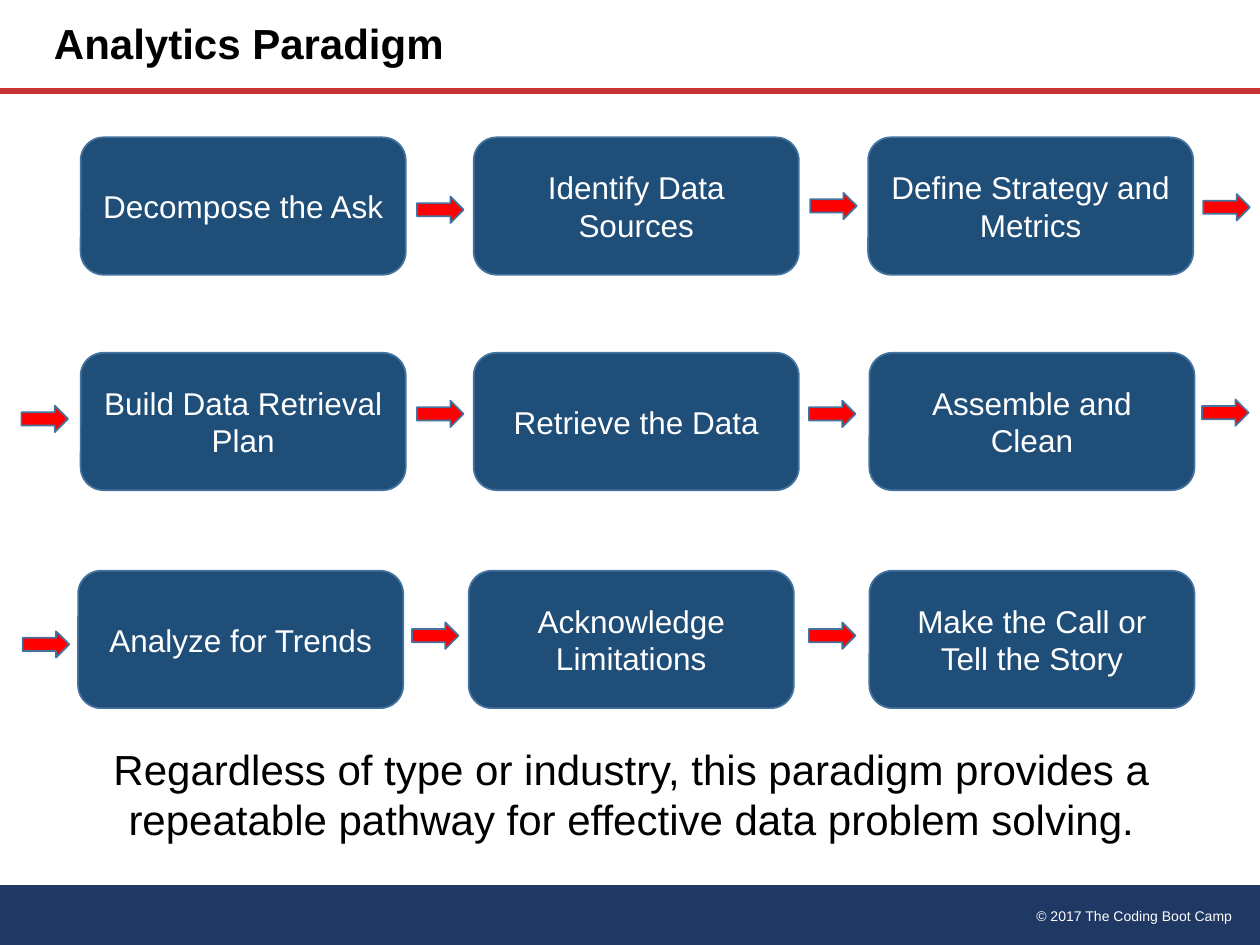
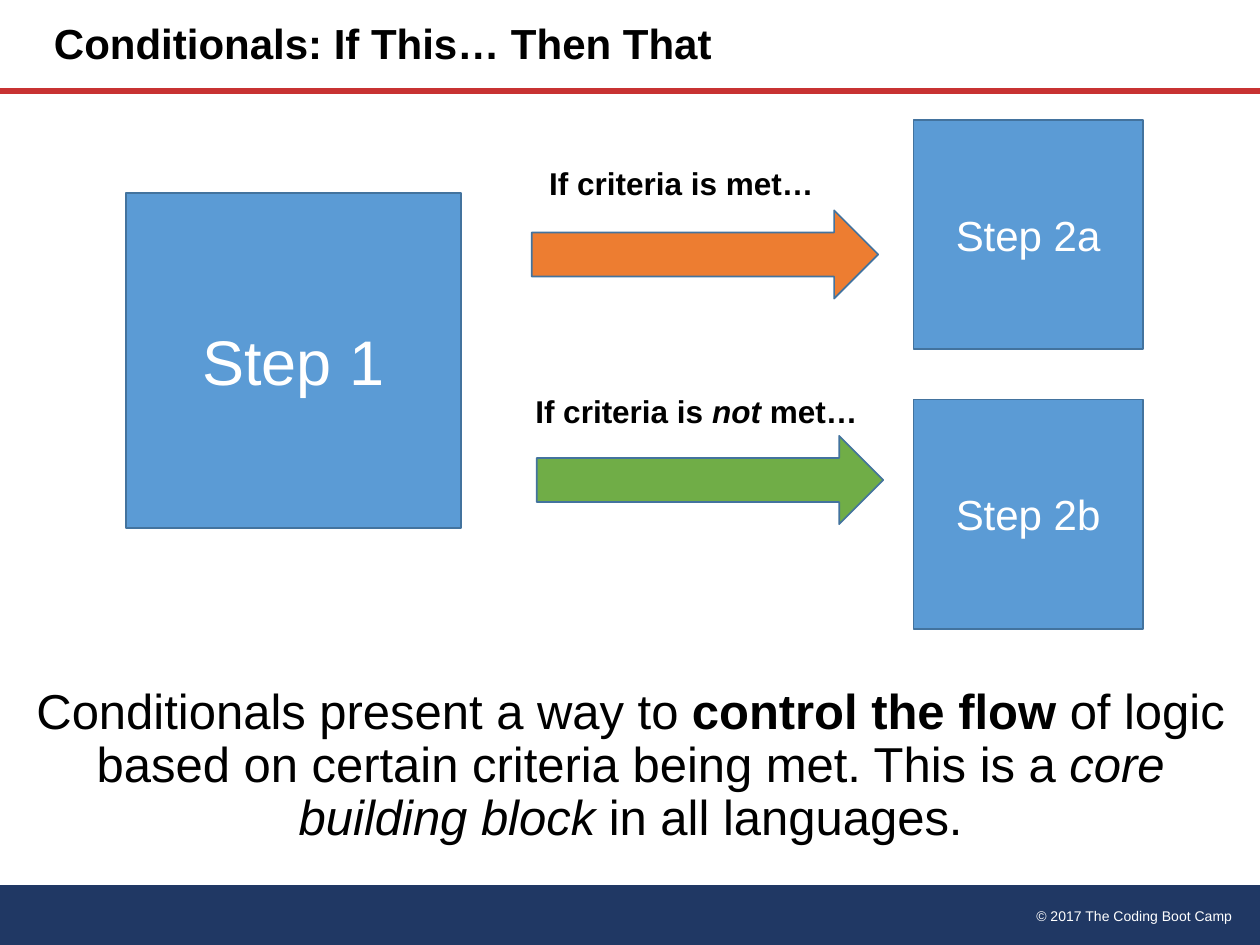
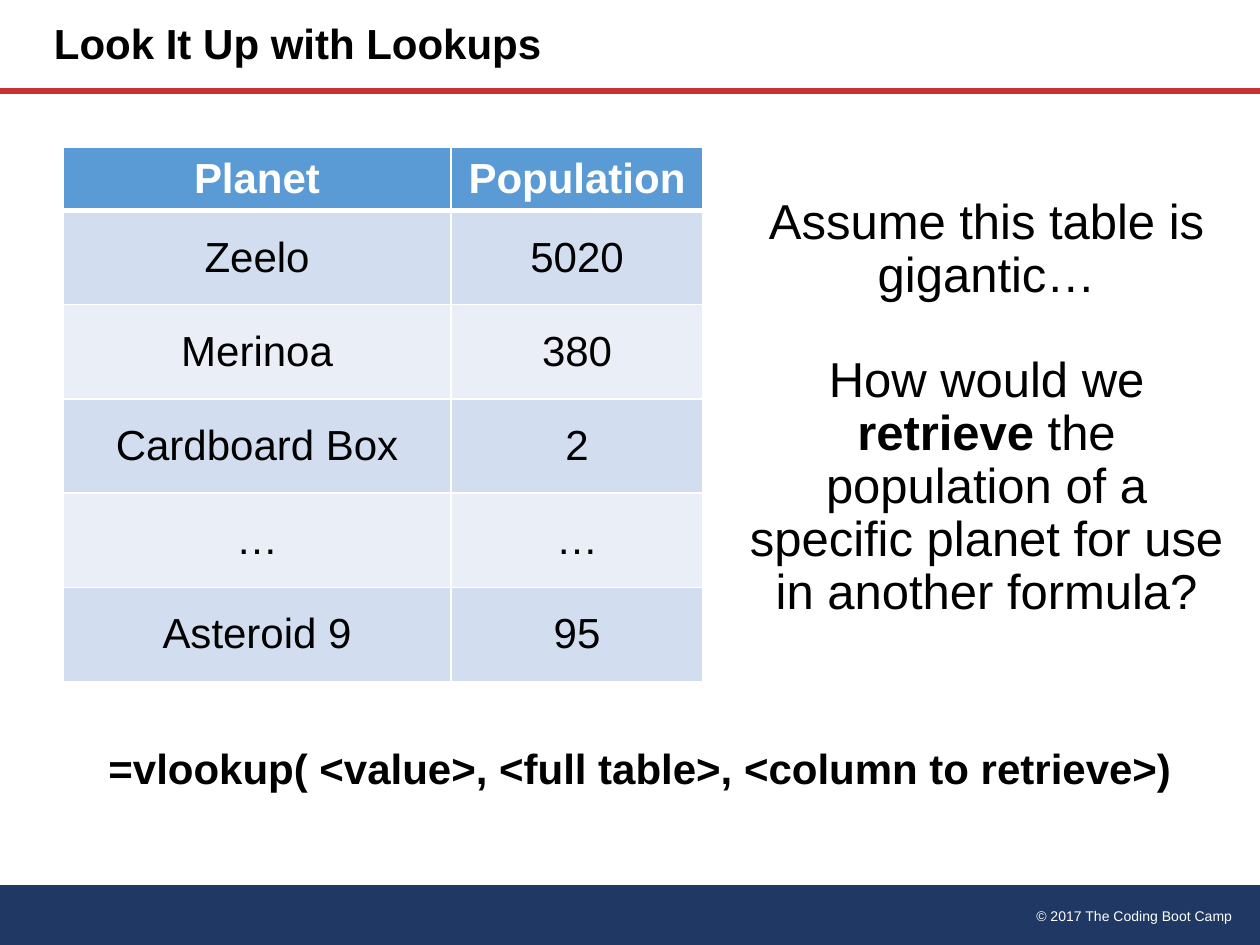
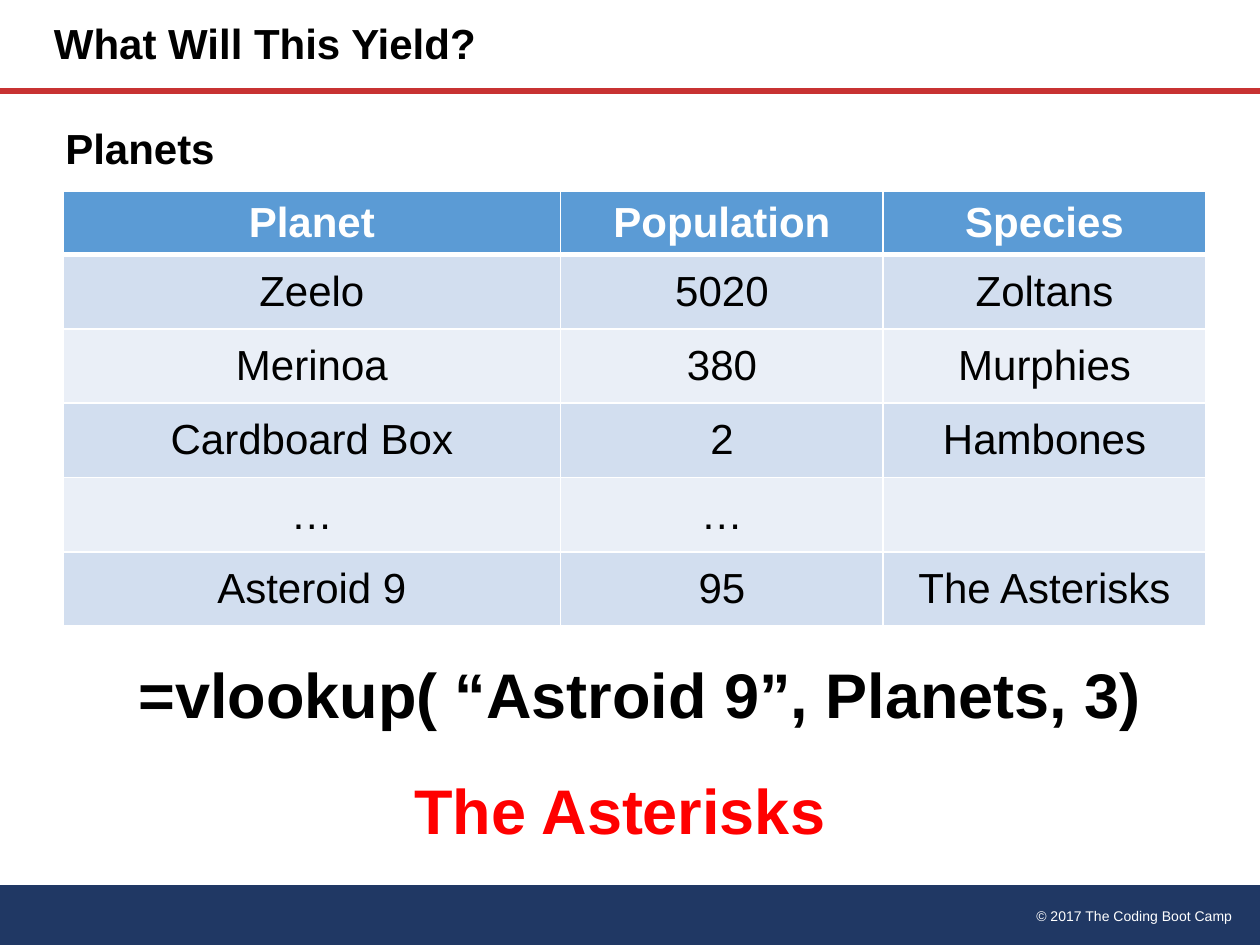
from dataclasses import dataclass
from typing import NamedTuple

from pptx import Presentation, util as u
from pptx.dml import color
from pptx.enum import shapes, text
from pptx.oxml import ns
from lxml import etree

Kind = shapes.MSO_SHAPE
Align = text.PP_ALIGN
Anchor = text.MSO_ANCHOR


# Theme: colours and type sizes
@dataclass(frozen=True)
class Theme:
    font: str = "Arial"
    black: str = "000000"
    white: str = "FFFFFF"
    red: str = "FF0000"
    rule: str = "C83232"
    navy: str = "203864"
    card: str = "1F4E79"
    edge: str = "43739E"
    blue: str = "5B9BD5"
    orange: str = "ED7D31"
    green: str = "70AD47"
    bands: tuple[str, str] = ("D2DEEF", "EAEFF7")
    note: int = 8
    label: int = 18
    head: int = 24
    body: int = 28
    hero: int = 36
    tight: float = 0.9


T = Theme()


class Box(NamedTuple):
    left: float
    top: float
    width: float
    height: float

    def emu(self) -> list[int]:
        return [u.Inches(n) for n in self]


class Span(NamedTuple):
    text: str
    bold: bool | None = None
    slant: bool | None = None


@dataclass(frozen=True)
class Style:
    size: int = T.head
    tint: str = T.black
    bold: bool = False
    align: Align = Align.CENTER
    lead: float | None = None
    gap: int = 0


class Row(NamedTuple):
    top: float
    lefts: tuple[float, ...]
    names: tuple[str, ...]
    arrows: tuple[tuple[float, float], ...]


Para = list[Span]
TITLE = Style(bold=True, align=Align.LEFT, lead=T.tight)
BODY = Style(T.body, lead=T.tight)
CARD = Style(T.label, T.white)
LABEL = Style(T.label, bold=True, align=Align.LEFT)


def rgb(code: str) -> color.RGBColor:
    return color.RGBColor.from_string(code)


# Text
def write(frame, paras: list[Para], style: Style) -> None:
    for i, spans in enumerate(paras):
        para = frame.add_paragraph() if i else frame.paragraphs[0]
        para.alignment = style.align
        if style.lead:
            para.line_spacing = style.lead
        if i and style.gap:
            para.space_before = u.Pt(style.gap)
        font = para.font
        font.name, font.size, font.bold = T.font, u.Pt(style.size), style.bold
        font.color.rgb = rgb(style.tint)
        for span in spans:
            run = para.add_run()
            run.text = span.text
            if span.bold is not None:
                run.font.bold = span.bold
            if span.slant is not None:
                run.font.italic = span.slant


def plain(words: str) -> list[Para]:
    return [[Span(line)] for line in words.split("\n")]


def add_text(slide, box: Box, paras: list[Para], style: Style,
             anchor: Anchor = Anchor.MIDDLE, wrap: bool = True) -> None:
    frame = slide.shapes.add_textbox(*box.emu()).text_frame
    frame.word_wrap = wrap
    frame.vertical_anchor = anchor
    if not wrap:
        frame.auto_size = text.MSO_AUTO_SIZE.SHAPE_TO_FIT_TEXT
    write(frame, paras, style)


# Shapes
def add_shape(slide, kind: Kind, box: Box, fill: str, edge: str | None = T.edge,
              words: str = "", style: Style = CARD) -> None:
    shape = slide.shapes.add_shape(kind, *box.emu())
    shape.shadow.inherit = False
    shape.fill.solid()
    shape.fill.fore_color.rgb = rgb(fill)
    if edge:
        shape.line.color.rgb = rgb(edge)
        shape.line.width = u.Pt(1)
    else:
        shape.line.fill.background()
    if words:
        shape.text_frame.vertical_anchor = Anchor.MIDDLE
        write(shape.text_frame, plain(words), style)


def add_rule(slide, top: float) -> None:
    line = slide.shapes.add_connector(
        shapes.MSO_CONNECTOR.STRAIGHT, 0, u.Inches(top), u.Inches(10), u.Inches(top))
    line.line.color.rgb = rgb(T.rule)
    line.line.width = u.Pt(3.25)
    etree.SubElement(line._element.spPr, ns.qn("a:effectLst"))


# Tables
def add_edges(cell, base: float) -> None:
    props = cell._tc.get_or_add_tcPr()
    for side, width in (("L", 1), ("R", 1), ("T", 1), ("B", base)):
        edge = etree.SubElement(props, ns.qn(f"a:ln{side}"), w=str(u.Pt(width)))
        fill = etree.SubElement(edge, ns.qn("a:solidFill"))
        etree.SubElement(fill, ns.qn("a:srgbClr"), val=T.white)


def add_table(slide, box: Box, cols: list[float], head: float,
              rows: list[tuple[str, ...]]) -> None:
    table = slide.shapes.add_table(len(rows), len(cols), *box.emu()).table
    table.horz_banding = False
    for col, width in zip(table.columns, cols):
        col.width = u.Inches(width)
    each = (box.height - head) / (len(rows) - 1)
    for r, row in enumerate(rows):
        table.rows[r].height = u.Inches(each if r else head)
        style = Style() if r else Style(tint=T.white, bold=True)
        for c, words in enumerate(row):
            cell = table.cell(r, c)
            add_edges(cell, 1 if r else 3)
            cell.fill.solid()
            cell.fill.fore_color.rgb = rgb(T.bands[(r - 1) % 2] if r else T.blue)
            cell.vertical_anchor = Anchor.MIDDLE
            write(cell.text_frame, plain(words) if words else [[]], style)


# Frame shared by all slides
def add_slide(deck, title: str):
    slide = deck.slides.add_slide(deck.slide_layouts[6])
    add_shape(slide, Kind.FLOWCHART_PROCESS, Box(0, 7.02, 10, 0.48), T.navy, None)
    add_text(slide, Box(6.83, 7.15, 3.05, 0.24), plain("© 2017 The Coding Boot Camp"),
             Style(T.note, T.white, align=Align.RIGHT), Anchor.TOP)
    add_rule(slide, 0.72)
    add_text(slide, Box(0.33, 0, 6.92, 0.72), plain(title), TITLE)
    return slide


STEPS = [
    Row(1.09, (0.64, 3.76, 6.89),
        ("Decompose the Ask", "Identify Data Sources", "Define Strategy and Metrics"),
        ((3.31, 1.56), (6.43, 1.53), (9.55, 1.54))),
    Row(2.8, (0.64, 3.76, 6.9),
        ("Build Data Retrieval Plan", "Retrieve the Data", "Assemble and Clean"),
        ((0.17, 3.22), (3.31, 3.18), (6.42, 3.18), (9.54, 3.17))),
    Row(4.53, (0.62, 3.72, 6.9),
        ("Analyze for Trends", "Acknowledge Limitations",
         "Make the Call or\nTell the Story"),
        ((0.18, 5.01), (3.27, 4.94), (6.42, 4.94))),
]

PLANETS = [
    ("Planet", "Population", "Species"),
    ("Zeelo", "5020", "Zoltans"),
    ("Merinoa", "380", "Murphies"),
    ("Cardboard Box", "2", "Hambones"),
    ("…", "…", ""),
    ("Asteroid 9", "95", "The Asterisks"),
]


# Slide 1: nine steps joined by arrows
def draw_steps(deck) -> None:
    slide = add_slide(deck, "Analytics Paradigm")
    for row in STEPS:
        for left, name in zip(row.lefts, row.names):
            add_shape(slide, Kind.ROUNDED_RECTANGLE, Box(left, row.top, 2.58, 1.09),
                      T.card, words=name)
        for left, top in row.arrows:
            add_shape(slide, Kind.RIGHT_ARROW, Box(left, top, 0.37, 0.21), T.red)
    add_text(slide, Box(0.37, 5.85, 9.28, 0.91), plain(
        "Regardless of type or industry, this paradigm provides a repeatable "
        "pathway for effective data problem solving."), Style(), Anchor.TOP)


# Slide 2: one step branching into two
def draw_branch(deck) -> None:
    slide = add_slide(deck, "Conditionals: If This… Then That")
    add_text(slide, Box(0.17, 5.39, 9.67, 1.39), [[
        Span("Conditionals present a way to "),
        Span("control the flow ", bold=True),
        Span("of logic based on certain criteria being met. This is a "),
        Span("core building block ", slant=True),
        Span("in all languages."),
    ]], BODY)
    for name, left, top, side, size in (("Step 1", 1, 1.53, 2.66, T.hero),
                                        ("Step 2a", 7.25, 0.95, 1.82, T.head),
                                        ("Step 2b", 7.25, 3.17, 1.82, T.head)):
        add_shape(slide, Kind.RECTANGLE, Box(left, top, side, side), T.blue,
                  words=name, style=Style(size, T.white))
    for left, top, fill in ((4.22, 1.67, T.orange), (4.26, 3.46, T.green)):
        add_shape(slide, Kind.RIGHT_ARROW, Box(left, top, 2.75, 0.7), fill)
    met = [Span("If criteria is met…")]
    unmet = [Span("If criteria is "), Span("not ", slant=True), Span("met…")]
    for box, spans in ((Box(4.26, 1.25, 2.36, 0.4), met),
                       (Box(4.15, 3.06, 2.78, 0.4), unmet)):
        add_text(slide, box, [spans], LABEL, Anchor.TOP, wrap=False)


# Slide 3: lookup syntax
def draw_lookup(deck) -> None:
    slide = add_slide(deck, "Look It Up with Lookups")
    add_table(slide, Box(0.5, 1.17, 5.08, 4.23), [3.08, 2], 0.49,
              [row[:2] for row in PLANETS])
    add_text(slide, Box(0.33, 5.75, 9.5, 0.73),
             plain("=vlookup( <value>, <full table>, <column to retrieve>)"),
             Style(bold=True, lead=T.tight))
    add_text(slide, Box(5.83, 1.42, 4, 3.64), [
        [Span("Assume this table is gigantic…")],
        [Span("How would we "), Span("retrieve", bold=True),
         Span(" the population of a specific planet for use in another formula?")],
    ], Style(T.body, lead=T.tight, gap=30))


# Slide 4: lookup result
def draw_result(deck) -> None:
    slide = add_slide(deck, "What Will This Yield?")
    add_table(slide, Box(0.5, 1.52, 9.08, 3.4), [3.95, 2.56, 2.56], 0.45, PLANETS)
    add_text(slide, Box(0.42, 0.83, 9.5, 0.73), plain("Planets"), TITLE)
    for left, top, words, tint in (
            (0.33, 5.18, "=vlookup( “Astroid 9”, Planets, 3)", T.black),
            (0.17, 6.1, "The Asterisks", T.red)):
        add_text(slide, Box(left, top, 9.5, 0.73), plain(words),
                 Style(T.hero, tint, True, lead=T.tight))


def main() -> None:
    deck = Presentation()
    deck.slide_width, deck.slide_height = u.Inches(10), u.Inches(7.5)
    for draw in (draw_steps, draw_branch, draw_lookup, draw_result):
        draw(deck)
    deck.save("out.pptx")


if __name__ == "__main__":
    main()
